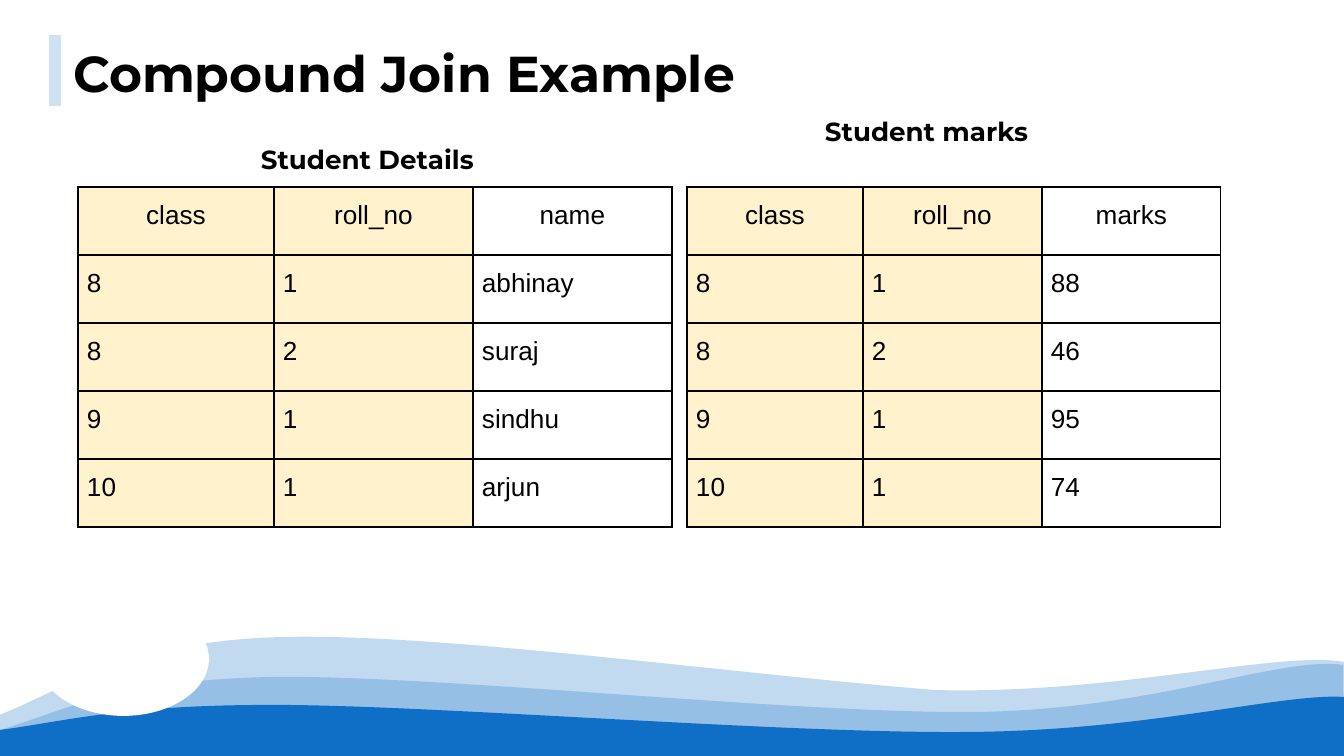
from dataclasses import dataclass

from lxml import etree
from pptx import Presentation
from pptx.dml.color import RGBColor
from pptx.enum.shapes import MSO_CONNECTOR, MSO_SHAPE
from pptx.enum.text import MSO_ANCHOR, PP_ALIGN
from pptx.oxml.ns import qn
from pptx.util import Pt

LEFT, CENTER = PP_ALIGN.LEFT, PP_ALIGN.CENTER
TOP = MSO_ANCHOR.TOP
STRAIGHT = MSO_CONNECTOR.STRAIGHT
OVAL = MSO_SHAPE.OVAL
TITLE_ONLY = 5
SLIDE_WIDTH, SLIDE_HEIGHT = 1344, 756


@dataclass(frozen=True)
class Theme:
    ink: str = "000000"
    paper: str = "FFFFFF"
    wave: str = "0F6FC6"
    accent: str = "CFE2F3"
    key_column: str = "FFF2CC"
    heading_font: str = "Montserrat"
    table_font: str = "Arial"
    title_size: int = 27
    text_size: int = 14
    border: float = 0.75


THEME = Theme()


@dataclass(frozen=True)
class Wave:
    """A crest of cubic curves: a start, then three points for each curve."""
    crest: tuple
    opacity: int


@dataclass(frozen=True)
class Heading:
    text: str
    box: tuple
    align: PP_ALIGN
    space_before: int = 0
    space_after: int = 0


@dataclass(frozen=True)
class Grid:
    left: int
    columns: tuple
    rows: tuple


WAVES = (
    Wave(((-1, 715), (62, 691), (126, 641), (282, 637), (438, 633), (716, 672),
          (934, 690), (1111, 695), (1282, 650), (1344, 662)), 25),
    Wave(((0, 730), (63, 712), (112, 680), (274, 677), (437, 675), (798, 714),
          (976, 712), (1154, 710), (1279, 656), (1343, 665)), 25),
    Wave(((0, 730), (63, 722), (122, 704), (284, 705), (445, 706), (793, 734),
          (969, 732), (1146, 731), (1282, 693), (1344, 697)), 100),
)
HEADINGS = (
    Heading("Student Details", (165, 126, 405, 60), CENTER, space_after=16),
    Heading("Student marks", (812, 98, 285, 83), LEFT, space_before=12),
)
GRIDS = (
    Grid(78, (196, 199, 199), (
        ("class", "roll_no", "name"), ("8", "1", "abhinay"), ("8", "2", "suraj"),
        ("9", "1", "sindhu"), ("10", "1", "arjun"))),
    Grid(687, (176, 179, 179), (
        ("class", "roll_no", "marks"), ("8", "1", "88"), ("8", "2", "46"),
        ("9", "1", "95"), ("10", "1", "74"))),
)
GRID_TOP, ROW_HEIGHT, CELL_INSET = 187, 68, 9
KEY_COLUMNS = 2


def px(length: int) -> int:
    return round(length * 9144000 / SLIDE_WIDTH)


def color(code: str) -> RGBColor:
    return RGBColor.from_string(code)


def write(frame, text: str, *, size: int = THEME.text_size, font: str = THEME.heading_font,
          bold: bool = True, align: PP_ALIGN = LEFT, line_spacing: float = 1.15,
          space_before: int = 0, space_after: int = 0) -> None:
    paragraph = frame.paragraphs[0]
    paragraph.alignment = align
    paragraph.line_spacing = line_spacing
    paragraph.space_before = Pt(space_before)
    paragraph.space_after = Pt(space_after)
    run = paragraph.add_run()
    run.text = text
    run.font.size = Pt(size)
    run.font.name = font
    run.font.bold = bold
    run.font.color.rgb = color(THEME.ink)


def prepare_frame(frame) -> None:
    frame.word_wrap = True
    frame.vertical_anchor = TOP
    frame.margin_left = frame.margin_right = px(13)
    frame.margin_top = frame.margin_bottom = px(13)


def paint(shape, fill: str) -> None:
    shape.shadow.inherit = False
    shape.fill.solid()
    shape.fill.fore_color.rgb = color(fill)
    shape.line.fill.background()


def bend_crest(shape, crest: tuple) -> None:
    """Turn the leading straight segments of a wave into the crest's cubic curves."""
    segments = list(shape._element.iter(qn("a:lnTo")))
    for index, segment in enumerate(segments[:len(crest) // 3]):
        curve = etree.Element(qn("a:cubicBezTo"))
        for x, y in crest[3 * index + 1:3 * index + 4]:
            etree.SubElement(curve, qn("a:pt"),
                             x=str(px(x) - shape.left), y=str(px(y) - shape.top))
        segment.getparent().replace(segment, curve)


def add_wave(slide, wave: Wave) -> None:
    points = wave.crest[::3] + ((SLIDE_WIDTH, SLIDE_HEIGHT), (0, SLIDE_HEIGHT))
    corners = [(px(x), px(y)) for x, y in points]
    builder = slide.shapes.build_freeform(*corners[0])
    builder.add_line_segments(corners[1:], close=True)
    shape = builder.convert_to_shape()
    bend_crest(shape, wave.crest)
    paint(shape, THEME.wave)
    if wave.opacity < 100:
        tint = shape._element.spPr.find(qn("a:solidFill"))[0]
        etree.SubElement(tint, qn("a:alpha"), val=str(wave.opacity * 1000))


def add_title(slide, text: str) -> None:
    title = slide.shapes.title
    title.left, title.top, title.width, title.height = map(px, (60, 29, 745, 83))
    prepare_frame(title.text_frame)
    write(title.text_frame, text, size=THEME.title_size, line_spacing=1.0)


def add_heading(slide, heading: Heading) -> None:
    frame = slide.shapes.add_textbox(*map(px, heading.box)).text_frame
    prepare_frame(frame)
    write(frame, heading.text, align=heading.align,
          space_before=heading.space_before, space_after=heading.space_after)


def add_borders(cell) -> None:
    properties = cell._tc.get_or_add_tcPr()
    for side in ("a:lnL", "a:lnR", "a:lnT", "a:lnB"):
        line = etree.SubElement(properties, qn(side), w=str(Pt(THEME.border)))
        fill = etree.SubElement(line, qn("a:solidFill"))
        etree.SubElement(fill, qn("a:srgbClr"), val=THEME.ink)


def add_grid(slide, grid: Grid) -> None:
    row_count = len(grid.rows)
    table = slide.shapes.add_table(
        row_count, len(grid.columns), px(grid.left), px(GRID_TOP),
        px(sum(grid.columns)), px(ROW_HEIGHT * row_count)).table
    table.first_row = table.horz_banding = False
    for column, width in zip(table.columns, grid.columns):
        column.width = px(width)
    for row_index, values in enumerate(grid.rows):
        table.rows[row_index].height = px(ROW_HEIGHT)
        for column_index, value in enumerate(values):
            cell = table.cell(row_index, column_index)
            cell.margin_left = cell.margin_right = px(CELL_INSET)
            cell.margin_top = cell.margin_bottom = px(CELL_INSET)
            add_borders(cell)
            if column_index < KEY_COLUMNS:
                cell.fill.solid()
                cell.fill.fore_color.rgb = color(THEME.key_column)
            else:
                cell.fill.background()
            write(cell.text_frame, value, font=THEME.table_font, bold=False,
                  align=LEFT if row_index else CENTER)


def add_title_bar(slide) -> None:
    bar = slide.shapes.add_connector(STRAIGHT, px(55), px(35), px(55), px(106))
    bar.line.color.rgb = color(THEME.accent)
    bar.line.width = Pt(6)
    etree.SubElement(bar._element.spPr, qn("a:effectLst"))


def main() -> None:
    presentation = Presentation()
    presentation.slide_width, presentation.slide_height = px(SLIDE_WIDTH), px(SLIDE_HEIGHT)
    slide = presentation.slides.add_slide(presentation.slide_layouts[TITLE_ONLY])
    for wave in WAVES:
        add_wave(slide, wave)
    paint(slide.shapes.add_shape(OVAL, *map(px, (38, 602, 171, 114))), THEME.paper)
    add_title(slide, "Compound Join Example")
    for heading in HEADINGS:
        add_heading(slide, heading)
    for grid in GRIDS:
        add_grid(slide, grid)
    add_title_bar(slide)
    presentation.save("out.pptx")


if __name__ == "__main__":
    main()
